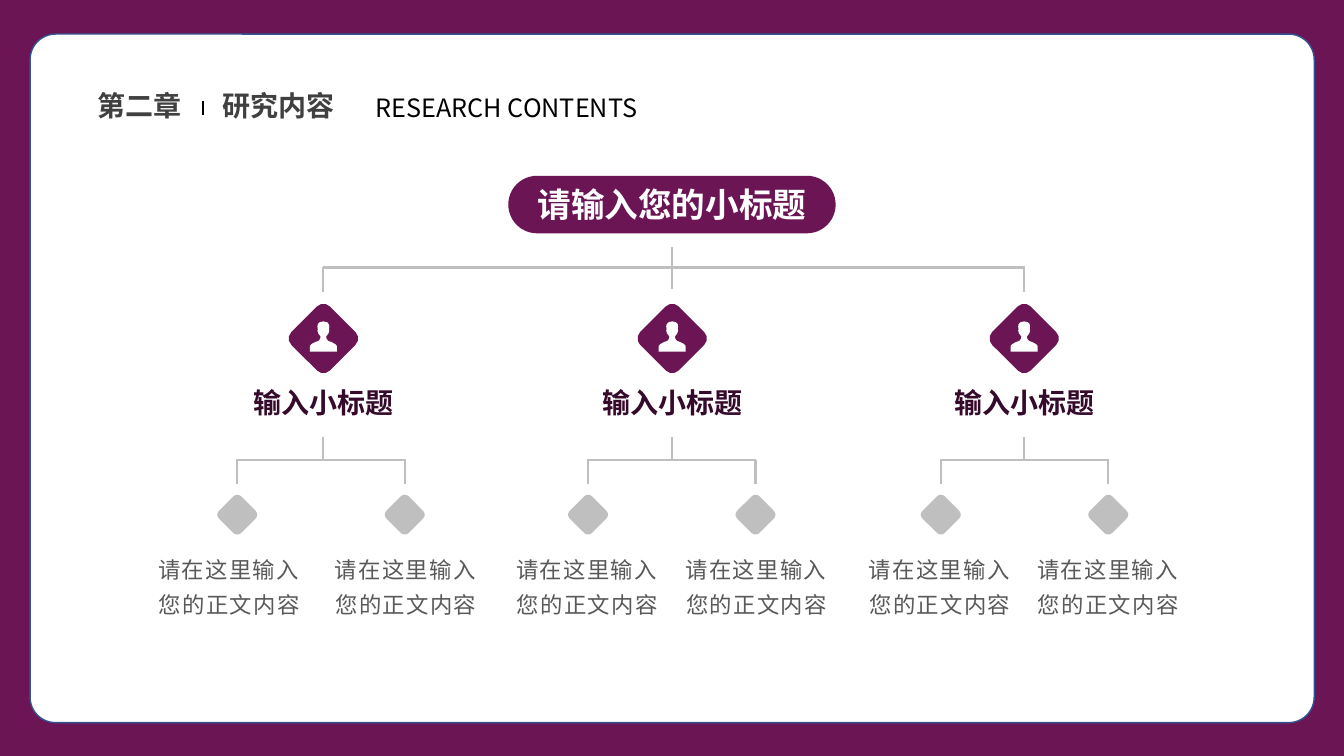
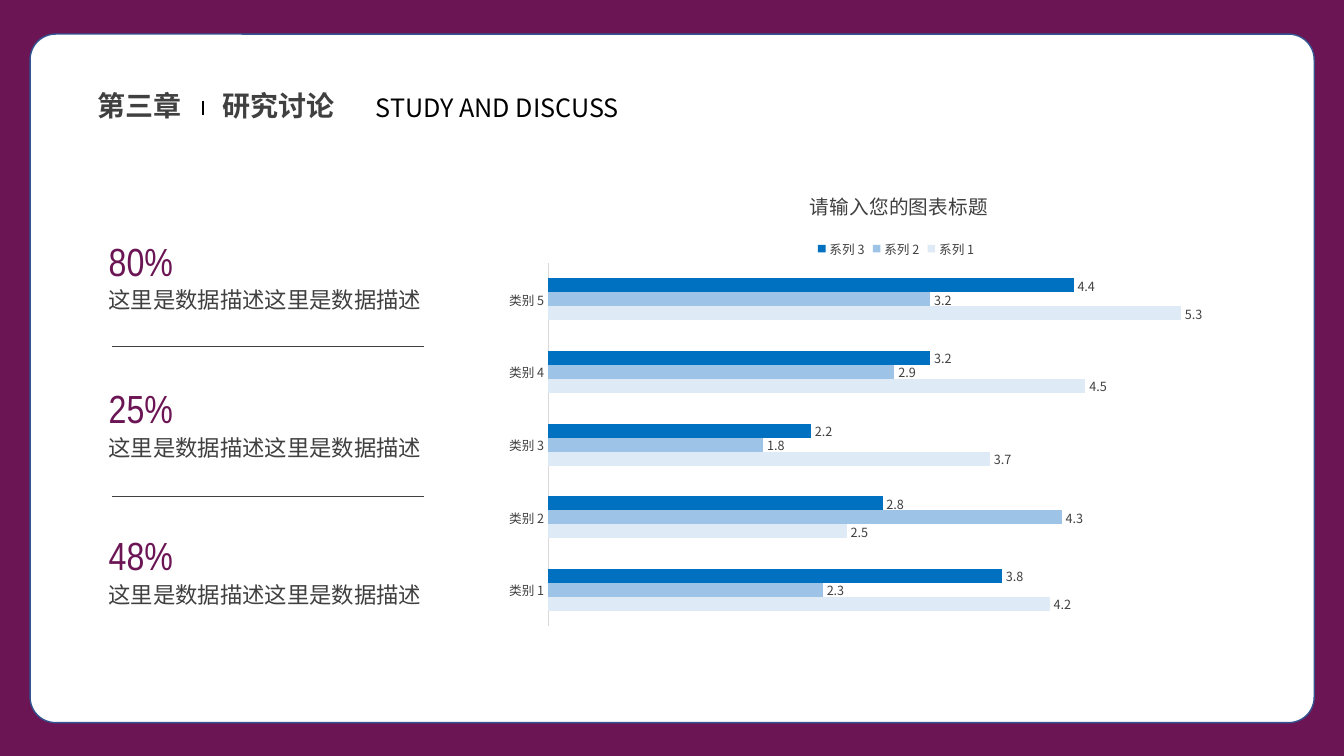
from dataclasses import dataclass
from typing import Optional

from lxml import etree
from pptx import Presentation
from pptx import util as u
from pptx.chart import data
from pptx.dml import color
from pptx.enum import chart as ch
from pptx.enum import shapes, text
from pptx.oxml import ns

COLORS = {
    "plum": "6B1554",
    "deep_plum": "360A2A",
    "white": "FFFFFF",
    "card_edge": "325491",
    "black": "000000",
    "ink": "404040",
    "body": "595959",
    "gray": "BFBFBF",
    "axis": "D9D9D9",
    "pale_blue": "DEEBF7",
    "mid_blue": "9DC3E6",
    "blue": "0070C0",
}
SANS = "Noto Sans CJK SC"
NARROW = "Arial Narrow"
WIDTH, HEIGHT = 33.87, 19.05
SHAPE = shapes.MSO_SHAPE
ALIGN = text.PP_ALIGN


@dataclass(frozen=True)
class Style:
    size: float
    color: str
    bold: bool = False
    face: str = SANS
    align: Optional[ALIGN] = None
    line_spacing: Optional[float] = None
    space: Optional[float] = None
    tracking: int = 0


@dataclass(frozen=True)
class Branch:
    center: float
    leaf_center: float
    text_lefts: tuple[float, float]


@dataclass(frozen=True)
class Series:
    name: str
    values: tuple[float, ...]
    color: str


CHAPTER = Style(20, "ink", bold=True)
ENGLISH = Style(18, "black", align=ALIGN.JUSTIFY)
ROOT = Style(24, "white", bold=True, align=ALIGN.CENTER)
BRANCH_TITLE = Style(20, "deep_plum", bold=True, align=ALIGN.CENTER)
LEAF = Style(16, "body", align=ALIGN.CENTER, line_spacing=1.3, tracking=100)
PERCENT = Style(28, "plum", face=NARROW, align=ALIGN.JUSTIFY, line_spacing=1.25, space=3)
DESCRIPTION = Style(16, "ink", line_spacing=1.2, space=3)
CHART_TITLE = Style(14, "ink")
CHART_TEXT = Style(10, "ink")
CHART_SMALL = Style(9, "ink")

BRANCHES = (
    Branch(8.15, 8.09, (3.86, 8.31)),
    Branch(16.94, 16.93, (12.88, 17.15)),
    Branch(25.81, 25.82, (21.77, 26.01)),
)
LEAF_OFFSET = 2.11
HALF_PERSON = (
    (0, 0), (0.09, 0.02), (0.14, 0.07), (0.15, 0.13), (0.14, 0.2),
    (0.15, 0.23), (0.13, 0.3), (0.1, 0.34), (0.07, 0.38), (0.08, 0.44),
    (0.12, 0.49), (0.2, 0.52), (0.3, 0.57), (0.34, 0.62), (0.34, 0.76),
)
CATEGORIES = ("类别 1", "类别 2", "类别 3", "类别 4", "类别 5")
SERIES = (
    Series("系列 1", (4.2, 2.5, 3.7, 4.5, 5.3), "pale_blue"),
    Series("系列 2", (2.3, 4.3, 1.8, 2.9, 3.2), "mid_blue"),
    Series("系列 3", (3.8, 2.8, 2.2, 3.2, 4.4), "blue"),
)


def rgb(name: str) -> color.RGBColor:
    return color.RGBColor.from_string(COLORS[name])


def paint(part, name: str) -> None:
    part.fill.solid()
    part.fill.fore_color.rgb = rgb(name)


def set_font(font, style: Style) -> None:
    font.size = u.Pt(style.size)
    font.bold = style.bold
    font.color.rgb = rgb(style.color)
    font.name = style.face
    properties = font._rPr
    etree.SubElement(properties, ns.qn("a:ea")).set("typeface", style.face)
    if style.tracking:
        properties.set("spc", str(style.tracking))


def write(frame, words: str, style: Style) -> None:
    frame.text = words
    paragraph = frame.paragraphs[0]
    paragraph.alignment = style.align
    paragraph.line_spacing = style.line_spacing
    if style.space is not None:
        paragraph.space_before = paragraph.space_after = u.Pt(style.space)
    set_font(paragraph.runs[0].font, style)


def add_label(slide, left: float, top: float, width: float, height: float,
              words: str, style: Style, wrap: bool = True, grow: bool = True,
              inset: bool = True) -> None:
    label = slide.shapes.add_textbox(u.Cm(left), u.Cm(top), u.Cm(width), u.Cm(height))
    frame = label.text_frame
    write(frame, words, style)
    frame.word_wrap = wrap
    if grow:
        frame.auto_size = text.MSO_AUTO_SIZE.SHAPE_TO_FIT_TEXT
    if not inset:
        frame.margin_left = frame.margin_right = 0
        frame.margin_top = frame.margin_bottom = 0


def finish(shape, fill: str, edge: Optional[str] = None):
    shape.shadow.inherit = False
    paint(shape, fill)
    if edge:
        shape.line.color.rgb = rgb(edge)
        shape.line.width = u.Pt(1)
    else:
        shape.line.fill.background()
    return shape


def add_block(slide, kind: SHAPE, left: float, top: float, width: float,
              height: float, fill: str, edge: Optional[str] = None):
    block = slide.shapes.add_shape(kind, u.Cm(left), u.Cm(top), u.Cm(width), u.Cm(height))
    return finish(block, fill, edge)


def add_diamond(slide, x: float, y: float, side: float, fill: str) -> None:
    diamond = add_block(slide, SHAPE.ROUNDED_RECTANGLE, x - side / 2, y - side / 2,
                        side, side, fill)
    diamond.rotation = 45


def add_line(slide, x1: float, y1: float, x2: float, y2: float,
             name: str = "gray", weight: float = 1.5) -> None:
    line = slide.shapes.add_connector(shapes.MSO_CONNECTOR.STRAIGHT,
                                      u.Cm(x1), u.Cm(y1), u.Cm(x2), u.Cm(y2))
    line.line.color.rgb = rgb(name)
    line.line.width = u.Pt(weight)
    etree.SubElement(line._element.spPr, ns.qn("a:effectLst"))


def add_fork(slide, stem_x: float, stem_top: float, stem_bottom: float,
             bar_y: float, drop_bottom: float, left: float, right: float) -> None:
    add_line(slide, stem_x, stem_top, stem_x, stem_bottom)
    add_line(slide, left - 0.02, bar_y, right + 0.02, bar_y)
    for x in (left, right):
        add_line(slide, x, bar_y, x, drop_bottom)


def add_person(slide, x: float, top: float) -> None:
    outline = HALF_PERSON + tuple((-dx, dy) for dx, dy in reversed(HALF_PERSON[1:]))
    points = [(u.Cm(x + dx), u.Cm(top + dy)) for dx, dy in outline]
    builder = slide.shapes.build_freeform(*points[0])
    builder.add_line_segments(points[1:], close=True)
    finish(builder.convert_to_shape(), "white")


def add_chapter_slide(deck, chapter: str, topic: str, english: str):
    slide = deck.slides.add_slide(deck.slide_layouts[6])
    add_block(slide, SHAPE.RECTANGLE, 0, 0, WIDTH, HEIGHT, "plum")
    card = add_block(slide, SHAPE.ROUNDED_RECTANGLE, 0.76, 0.86, 32.36, 17.35,
                     "white", "card_edge")
    card.adjustments[0] = 0.037
    add_label(slide, 2.21, 2.11, 2.67, 1.12, chapter, CHAPTER, wrap=False)
    add_label(slide, 5.36, 2.11, 3.35, 1.12, topic, CHAPTER, wrap=False)
    add_label(slide, 9.22, 2.21, 10.3, 1.02, english, ENGLISH)
    add_line(slide, 5.11, 2.54, 5.11, 2.9, "black")
    return slide


def add_branch(slide, branch: Branch) -> None:
    add_diamond(slide, branch.center, 8.53, 1.37, "plum")
    add_person(slide, branch.center, 8.1)
    add_label(slide, branch.center - 2.03, 9.6, 4.06, 1.12, "输入小标题",
              BRANCH_TITLE, wrap=False)
    leaf_xs = (branch.leaf_center - LEAF_OFFSET, branch.leaf_center + LEAF_OFFSET)
    add_fork(slide, branch.center, 11, 11.58, 11.58, 12.19, *leaf_xs)
    for x, text_left in zip(leaf_xs, branch.text_lefts):
        add_diamond(slide, x, 12.97, 0.79, "gray")
        add_label(slide, text_left, 13.82, 3.84, 2.01, "请在这里输入您的正文内容",
                  LEAF, grow=False, inset=False)


def build_contents(deck) -> None:
    slide = add_chapter_slide(deck, "第二章", "研究内容", "RESEARCH CONTENTS")
    root = add_block(slide, SHAPE.ROUNDED_RECTANGLE, 12.81, 4.43, 8.25, 1.45, "plum")
    root.adjustments[0] = 0.5
    write(root.text_frame, "请输入您的小标题", ROOT)
    root.text_frame.vertical_anchor = text.MSO_ANCHOR.MIDDLE
    add_fork(slide, BRANCHES[1].center, 6.22, 7.29, 6.74, 7.37,
             BRANCHES[0].center, BRANCHES[-1].center)
    for branch in BRANCHES:
        add_branch(slide, branch)


def place(element, index: int, **fractions: float) -> None:
    for old in element.findall(ns.qn("c:layout")):
        element.remove(old)
    layout = etree.Element(ns.qn("c:layout"))
    manual = etree.SubElement(layout, ns.qn("c:manualLayout"))
    if "w" in fractions:
        etree.SubElement(manual, ns.qn("c:layoutTarget")).set("val", "inner")
    for key in ("x", "y"):
        etree.SubElement(manual, ns.qn(f"c:{key}Mode")).set("val", "edge")
    for key, value in fractions.items():
        etree.SubElement(manual, ns.qn(f"c:{key}")).set("val", str(value))
    element.insert(index, layout)


def add_bars(slide) -> None:
    figures = data.CategoryChartData()
    figures.categories = CATEGORIES
    for entry in SERIES:
        figures.add_series(entry.name, entry.values)
    chart = slide.shapes.add_chart(ch.XL_CHART_TYPE.BAR_CLUSTERED, u.Cm(12.8), u.Cm(4.34),
                                   u.Cm(20.29), u.Cm(11.46), figures).chart
    set_font(chart.font, CHART_TEXT)

    chart.has_title = True
    write(chart.chart_title.text_frame, "请输入您的图表标题", CHART_TITLE)
    place(chart.chart_title._element, 1, x=0.37, y=0.03)

    chart.has_legend = True
    chart.legend.position = ch.XL_LEGEND_POSITION.TOP
    chart.legend.include_in_layout = False
    set_font(chart.legend.font, CHART_SMALL)
    place(chart.legend._element, 1, x=0.38, y=0.14)

    categories = chart.category_axis
    categories.major_tick_mark = categories.minor_tick_mark = ch.XL_TICK_MARK.NONE
    categories.format.line.color.rgb = rgb("axis")
    categories.format.line.width = u.Pt(0.75)
    set_font(categories.tick_labels.font, CHART_SMALL)
    values = chart.value_axis
    values.visible = False
    values.has_major_gridlines = False
    values.minimum_scale, values.maximum_scale = 0, 6

    plot = chart.plots[0]
    plot.gap_width, plot.overlap = 219, 0
    plot.vary_by_categories = False
    plot.has_data_labels = True
    plot.data_labels.show_value = True
    plot.data_labels.position = ch.XL_LABEL_POSITION.OUTSIDE_END
    set_font(plot.data_labels.font, CHART_SMALL)
    for bars, entry in zip(plot.series, SERIES):
        paint(bars.format, entry.color)
    place(chart._chartSpace.chart.plotArea, 0, x=0.05, y=0.2, w=0.89, h=0.8)


def build_discussion(deck) -> None:
    slide = add_chapter_slide(deck, "第三章", "研究讨论", "STUDY AND DISCUSS")
    add_bars(slide)
    for row, percent in enumerate(("80%", "25%", "48%")):
        top = 5.56 + 3.71 * row
        add_label(slide, 2.49, top + 1.4, 8.59, 1.02, "这里是数据描述这里是数据描述", DESCRIPTION)
        add_label(slide, 2.49, top, 4.37, 1.57, percent, PERCENT)
    for y in (8.74, 12.5):
        add_line(slide, 2.82, y, 10.69, y, "ink", 0.5)


def main() -> None:
    deck = Presentation()
    deck.slide_width, deck.slide_height = u.Cm(WIDTH), u.Cm(HEIGHT)
    build_contents(deck)
    build_discussion(deck)
    deck.save("out.pptx")


if __name__ == "__main__":
    main()
